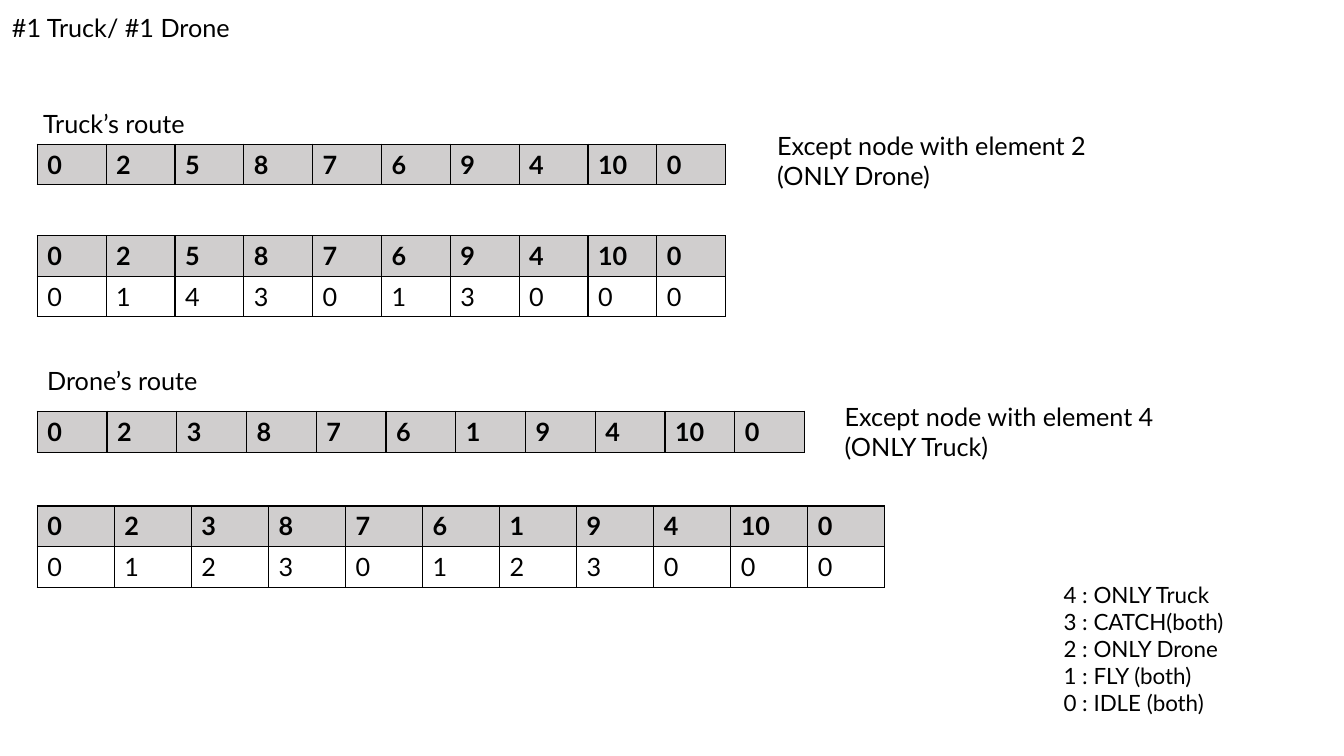
from lxml import etree
from pptx import Presentation
from pptx.dml.color import RGBColor
from pptx.enum.text import MSO_AUTO_SIZE
from pptx.oxml.ns import qn
from pptx.util import Inches, Pt

COLORS = {"text": "000000", "border": "000000", "header": "D0CECE"}
FONT = "Lato"
TABLE_LEFT = 0.37

truck_nodes = [0, 2, 5, 8, 7, 6, 9, 4, 10, 0]
truck_states = [0, 1, 4, 3, 0, 1, 3, 0, 0, 0]
drone_nodes = [0, 2, 3, 8, 7, 6, 1, 9, 4, 10, 0]
drone_states = [0, 1, 2, 3, 0, 1, 2, 3, 0, 0, 0]

# top, width, row height, rows
tables = [
    (1.43, 6.83, 0.4, [truck_nodes]),
    (4.08, 7.61, 0.41, [drone_nodes]),
    (2.34, 6.83, 0.4, [truck_nodes, truck_states]),
    (5.02, 8.41, 0.405, [drone_nodes, drone_states]),
]

# left, top, width, height, size, wrap, lines
labels = [
    (0.02, 0.07, 2.78, 0.4, 18, False, ["#1 Truck/ #1 Drone"]),
    (0.33, 1.03, 1.94, 0.4, 18, False, ["Truck’s route"]),
    (0.37, 3.58, 1.94, 0.4, 18, False, ["Drone’s route"]),
    (7.61, 1.24, 3.83, 0.71, 18, False, ["Except node with element 2", "(ONLY Drone)"]),
    (8.28, 3.93, 3.83, 0.71, 18, False, ["Except node with element 4", "(ONLY Truck)"]),
    (10.45, 5.72, 3.08, 1.48, 16, True,
     ["4 : ONLY Truck", "3 : CATCH(both)", "2 : ONLY Drone", "1 : FLY (both)", "0 : IDLE (both)"]),
]


def format_text(text_frame, size, bold=False):
    for paragraph in text_frame.paragraphs:
        for run in paragraph.runs:
            run.font.name = FONT
            run.font.size = Pt(size)
            run.font.bold = bold
            run.font.color.rgb = RGBColor.from_string(COLORS["text"])


def add_borders(cell):
    """Draw a one-point line on all four sides of a table cell."""
    properties = cell._tc.get_or_add_tcPr()
    for side in ("a:lnL", "a:lnR", "a:lnT", "a:lnB"):
        line = etree.SubElement(properties, qn(side), w=str(Pt(1)))
        fill = etree.SubElement(line, qn("a:solidFill"))
        etree.SubElement(fill, qn("a:srgbClr"), val=COLORS["border"])


presentation = Presentation()
presentation.slide_width = Inches(13.33)
presentation.slide_height = Inches(7.5)
slide = presentation.slides.add_slide(presentation.slide_layouts[6])

for top, width, row_height, rows in tables:
    table = slide.shapes.add_table(
        len(rows), len(rows[0]), Inches(TABLE_LEFT), Inches(top),
        Inches(width), Inches(row_height * len(rows))).table
    table.first_row = False
    table.horz_banding = False
    for row_index, values in enumerate(rows):
        is_header = row_index == 0
        for column_index, value in enumerate(values):
            cell = table.cell(row_index, column_index)
            cell.text_frame.text = str(value)
            format_text(cell.text_frame, 18, is_header)
            add_borders(cell)
            if is_header:
                cell.fill.solid()
                cell.fill.fore_color.rgb = RGBColor.from_string(COLORS["header"])
            else:
                cell.fill.background()

for left, top, width, height, size, wrap, lines in labels:
    shape = slide.shapes.add_textbox(Inches(left), Inches(top), Inches(width), Inches(height))
    text_frame = shape.text_frame
    text_frame.word_wrap = wrap
    text_frame.auto_size = MSO_AUTO_SIZE.SHAPE_TO_FIT_TEXT
    text_frame.text = "\n".join(lines)
    format_text(text_frame, size)

presentation.save("out.pptx")
